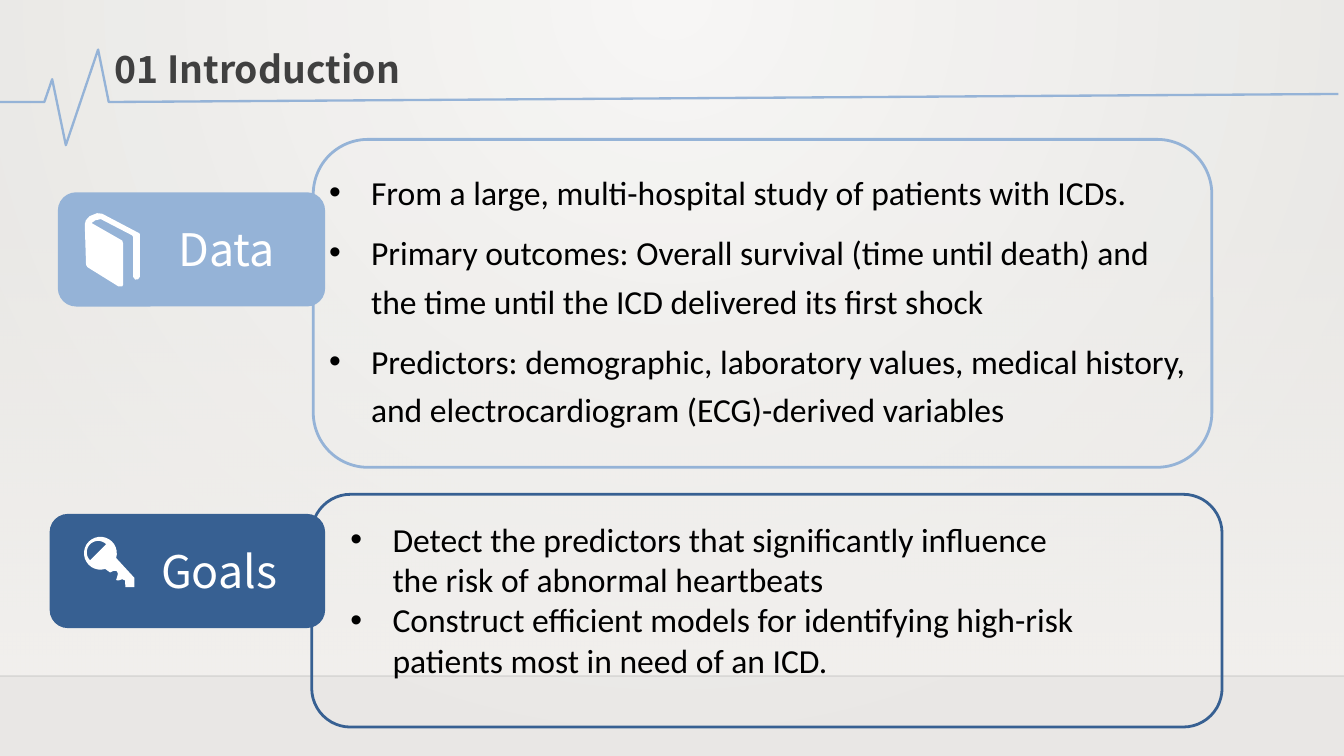
import math

import lxml.etree
import pptx
import pptx.dml.color
import pptx.enum.shapes
import pptx.enum.text
import pptx.oxml
import pptx.oxml.ns
import pptx.util

Pt = pptx.util.Pt
qn = pptx.oxml.ns.qn
FORMS = pptx.enum.shapes.MSO_SHAPE
ALIGN = pptx.enum.text.PP_ALIGN
HEAD = "Noto Sans CJK SC"
BODY = "Calibri"
WIDE, HIGH, FLOOR = 720, 405, 362.2
COLORS = {
    "glow": "ECEAE7", "edge": "CAC7C1", "wall": "DFDBD5", "white": "FFFFFF",
    "black": "000000", "gray": "404040", "light": "95B3D7", "dark": "376092",
}


def tint(name):
    return pptx.dml.color.RGBColor.from_string(COLORS[name])


def fade(shape, alpha):
    node = shape._element.spPr.find(".//" + qn("a:srgbClr"))
    lxml.etree.SubElement(node, qn("a:alpha")).set("val", str(alpha * 1000))


def blend(root, stops, tail):
    marks = "".join(
        f'<a:gs pos="{pos * 1000}"><a:srgbClr val="{COLORS[name]}">'
        f'<a:alpha val="{alpha * 1000}"/></a:srgbClr></a:gs>'
        for pos, name, alpha in stops)
    space = pptx.oxml.ns.nsdecls("a")
    fill = pptx.oxml.parse_xml(
        f'<a:gradFill {space} rotWithShape="1"><a:gsLst>{marks}</a:gsLst>{tail}</a:gradFill>')
    old = root.find(".//" + qn("a:solidFill"))
    old.getparent().replace(old, fill)


def write(frame, text, font=BODY, size=18, color="black", bold=False,
          align=ALIGN.LEFT, wrap=True, bullet=False, lead=1.0, before=0):
    frame.word_wrap = wrap
    frame.auto_size = pptx.enum.text.MSO_AUTO_SIZE.SHAPE_TO_FIT_TEXT
    frame.vertical_anchor = pptx.enum.text.MSO_ANCHOR.TOP
    frame.text = text
    for para in frame.paragraphs:
        para.alignment = align
        para.line_spacing = lead
        para.space_before = Pt(before)
        for run in para.runs:
            run.font.name, run.font.size, run.font.bold = font, Pt(size), bold
            run.font.color.rgb = tint(color)
        if bullet:
            props = para._p.get_or_add_pPr()
            props.set("marL", str(Pt(22.5)))
            props.set("indent", str(-Pt(22.5)))
            lxml.etree.SubElement(props, qn("a:buFont")).set("typeface", "Arial")
            lxml.etree.SubElement(props, qn("a:buChar")).set("char", "•")


def arc(x, y, size, start, end, steps=24):
    turns = [math.radians(start + (end - start) * i / steps) for i in range(steps + 1)]
    return [(x + size * math.cos(t), y + size * math.sin(t)) for t in turns]


class Sketch:
    def __init__(self, slide):
        self.slide = slide
        self.shapes = slide.shapes

    def style(self, shape, fill=None, line=None, width=1.5):
        shape.shadow.inherit = False
        if fill:
            shape.fill.solid()
            shape.fill.fore_color.rgb = tint(fill)
        else:
            shape.fill.background()
        if line:
            shape.line.color.rgb = tint(line)
            shape.line.width = Pt(width)
        else:
            shape.line.fill.background()
        return shape

    def box(self, place, form=FORMS.ROUNDED_RECTANGLE, **look):
        return self.style(self.shapes.add_shape(form, *map(Pt, place)), **look)

    def trace(self, *loops, close=True, **look):
        loops = [[(x * 100, y * 100) for x, y in loop] for loop in loops]
        pen = self.shapes.build_freeform(*loops[0][0], scale=Pt(1) / 100)
        for i, loop in enumerate(loops):
            if i:
                pen.move_to(*loop[0])
            pen.add_line_segments(loop[1:], close=close)
        return self.style(pen.convert_to_shape(), **look)

    def text(self, place, text, **form):
        write(self.shapes.add_textbox(*map(Pt, place)).text_frame, text, **form)

    def title(self, place, text, **form):
        head = self.shapes.title
        head.left, head.top, head.width, head.height = map(Pt, place)
        self.shapes._spTree.append(head._element)
        write(head.text_frame, text, **form)

    def rule(self, y):
        line = self.shapes.add_connector(
            pptx.enum.shapes.MSO_CONNECTOR.STRAIGHT, 0, Pt(y), Pt(WIDE), Pt(y))
        line.line.color.rgb = tint("black")
        line.line.width = Pt(1)
        fade(line, 20)
        lxml.etree.SubElement(line._element.spPr, qn("a:effectLst"))

    def scene(self):
        self.slide.background.fill.solid()
        blend(self.slide._element.cSld.find(qn("p:bg")),
              [(0, "glow", 100), (100, "edge", 100)],
              '<a:path path="circle">'
              '<a:fillToRect l="43000" t="0" r="43000" b="100000"/></a:path>')
        wall = self.box((0, 119.5, WIDE, FLOOR - 119.5), FORMS.RECTANGLE, fill="wall")
        blend(wall._element.spPr, [(0, "wall", 0), (100, "wall", 100)],
              '<a:lin ang="5400000" scaled="0"/>')
        self.rule(FLOOR)
        veil = self.box((0, 0, WIDE, HIGH), FORMS.RECTANGLE, fill="white")
        fade(veil, 59)

    def tab(self, place, color):
        self.box(place, fill=color).adjustments[0] = 0.16


def main():
    deck = pptx.Presentation()
    deck.slide_width, deck.slide_height = Pt(WIDE), Pt(HIGH)
    page = Sketch(deck.slides.add_slide(deck.slide_layouts[5]))
    page.scene()
    page.trace([(0, 54.7), (23.8, 54.7), (28, 42.5), (35.3, 77.8), (52.6, 26.6),
                (58.3, 54.7), (717, 50.4)], close=False, line="light", width=1.25)
    page.box((167.8, 74.7, 481.4, 175.7), line="light")
    page.box((167, 264.8, 487.7, 124.7), line="dark")
    page.tab((26.6, 275.3, 147.6, 61.2), "dark")
    page.tab((31, 103, 143.2, 61.2), "light")

    label = {"font": HEAD, "size": 24, "color": "white"}
    page.text((88.6, 115.2, 69.1, 36), "Data", wrap=False, **label)
    page.text((169.2, 84.2, 475.2, 148.3), "\n".join([
        "From a large, multi-hospital study of patients with ICDs.",
        "Primary outcomes: Overall survival (time until death) and "
        "the time until the ICD delivered its first shock",
        "Predictors: demographic, laboratory values, medical history, "
        "and electrocardiogram (ECG)-derived variables",
    ]), bullet=True, lead=1.2, before=6.4)
    page.title((51.1, 20.9, 173.5, 31.7), "01 Introduction", font=HEAD, size=20,
               color="gray", bold=True, align=ALIGN.CENTER, wrap=False)
    page.text((79.2, 288, 91.4, 36), "Goals", **label)
    page.text((180.7, 274.3, 405.4, 94.3), "\n".join([
        "Detect the predictors that significantly influence the risk of abnormal heartbeats",
        "Construct efficient models for identifying high-risk patients most in need of an ICD.",
    ]), bullet=True)

    page.trace([(74.5, 124.9), (54.7, 114.5), (52, 114.2), (48, 115.8), (46, 118),
                (45.4, 120.2), (46.1, 141.8), (46.8, 143.1), (63.4, 153.4),
                (65.5, 153.4), (65.9, 152.6), (65.9, 130.3), (65.5, 128.9),
                (49, 119.5), (51.1, 118), (54, 117.4), (70.6, 126), (71.3, 126.8),
                (71.3, 148.3), (72.4, 149.8), (74, 149.6), (74.9, 148.3),
                (74.9, 125.3)], fill="white")
    bow = arc(53.8, 296.4, 8.8, 17, -287)
    bit = [(59, 306.7), (61, 305.8), (62.6, 306), (63.2, 307.4), (62.6, 309.6),
           (62.2, 310.8), (63.4, 311), (65.5, 310.3), (67, 311), (67.2, 314.6),
           (72, 314.6), (72, 309.6)]
    page.trace(bow + bit, arc(52.6, 295.9, 6.1, 135, 315), fill="white")
    deck.save("out.pptx")


if __name__ == "__main__":
    main()
